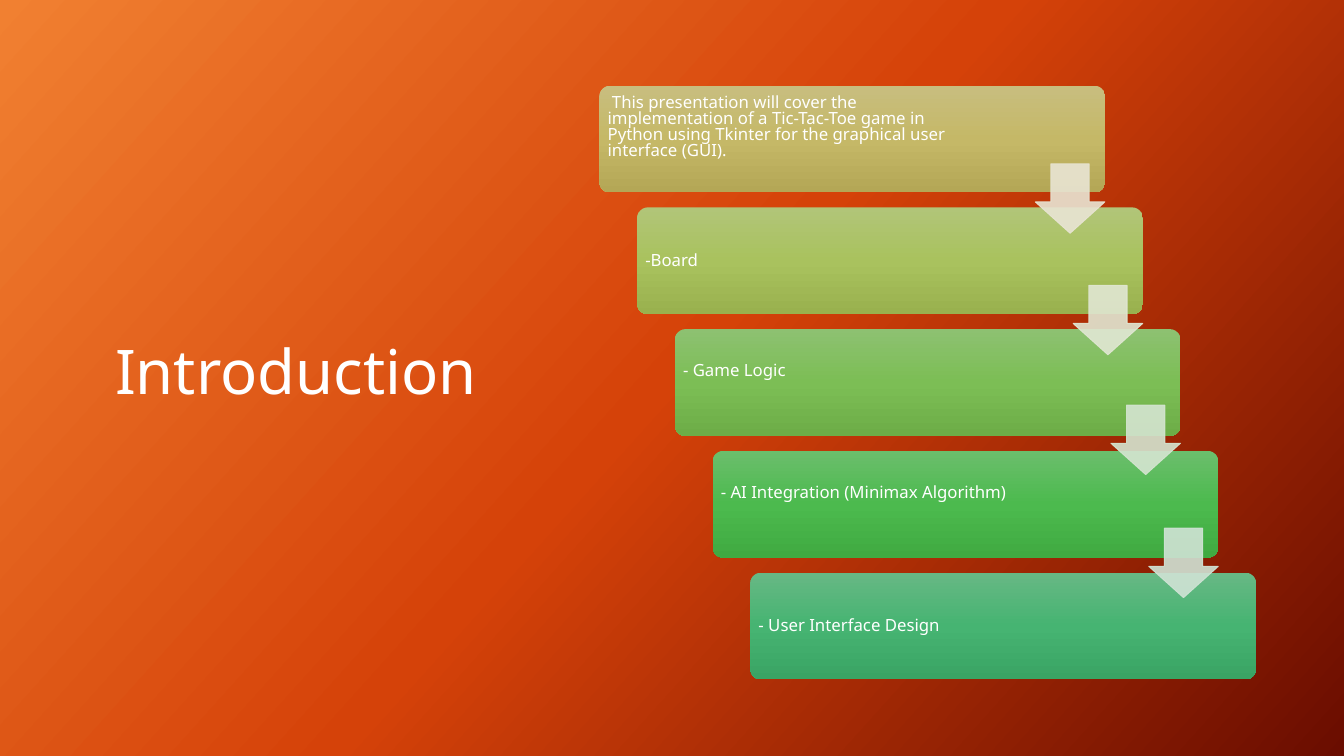
import copy
import pptx
import pptx.util
import pptx.dml.color
import pptx.enum.shapes
import pptx.enum.text
import pptx.oxml

Pt = pptx.util.Pt
RGB = pptx.dml.color.RGBColor.from_string
SHAPE = pptx.enum.shapes.MSO_SHAPE
ALIGN = pptx.enum.text.PP_ALIGN
MIDDLE = pptx.enum.text.MSO_ANCHOR.MIDDLE

theme = {
    "font": "Noto Sans",
    "text": "FFFFFF",
    "title": 44,
    "body": 12,
    "back": ["F18031", "D54209", "6A0D00"],
    "steps": [
        ["C8BE7F", "C5B867", "B4A756"],
        ["B1C578", "A9C25E", "99B14E"],
        ["8DC171", "7CBE55", "6DAD47"],
        ["6BBE6C", "4CBA4E", "40AA41"],
        ["67B884", "46B472", "3AA464"],
    ],
    "arrows": ["E9E5D4", "E1E7D3", "D5E5D1", "D0E3D5"],
}


def blend(owner, fill, tones, angle):
    fill.gradient()
    stops = owner.element.xpath(".//a:gsLst")[0]
    stops.append(copy.deepcopy(stops[0]))
    fill.gradient_angle = 360 - angle
    for stop, tone, place in zip(fill.gradient_stops, tones, [0, 0.5, 1]):
        stop.color.rgb = RGB(tone)
        stop.position = place


def write(text, box, size, align, space, inset):
    frame = slide.shapes.add_textbox(*[Pt(n) for n in box]).text_frame
    frame.word_wrap = True
    frame.vertical_anchor = MIDDLE
    frame.margin_left, frame.margin_top, frame.margin_right, frame.margin_bottom = [
        Pt(n) for n in inset
    ]
    frame.text = text
    line = frame.paragraphs[0]
    line.alignment = align
    line.line_spacing = space
    font = line.runs[0].font
    font.name = theme["font"]
    font.size = Pt(size)
    font.color.rgb = RGB(theme["text"])


deck = pptx.Presentation()
deck.slide_width = Pt(960)
deck.slide_height = Pt(540)
slide = deck.slides.add_slide(deck.slide_layouts[6])
blend(slide, slide.background.fill, theme["back"], 42)

write("Introduction", (53.3, 162.7, 294.5, 209.5), theme["title"],
      ALIGN.RIGHT, 0.9, (7.2, 3.6, 7.2, 3.6))

steps = [
    (" This presentation will cover the implementation of a Tic-Tac-Toe game in "
     "Python using Tkinter for the graphical user interface (GUI).", 270, 0.8, 20),
    ("-Board", 280, 0.9, 3.6),
    ("- Game Logic", 280, 0.9, 20),
    ("- AI Integration (Minimax Algorithm)", 280, 0.9, 20),
    ("- User Interface Design", 280, 0.9, 3.6),
]
for i, (text, width, space, foot) in enumerate(steps):
    left, top = 428.2 + 26.95 * i, 61.2 + 86.95 * i
    card = slide.shapes.add_shape(
        SHAPE.ROUNDED_RECTANGLE, Pt(left), Pt(top), Pt(361.2), Pt(76.3))
    card.adjustments[0] = 0.1
    card.shadow.inherit = False
    card.line.fill.background()
    blend(card, card.fill, theme["steps"][i], 90)
    write(text, (left + 2.2, top + 2.2, width, 72), theme["body"],
          ALIGN.LEFT, space, (3.6, 3.6, 3.6, foot))

tops = [117, 203.8, 289.4, 377.3]
for i, (top, tone) in enumerate(zip(tops, theme["arrows"])):
    arrow = slide.shapes.add_shape(
        SHAPE.DOWN_ARROW, Pt(739.6 + 27 * i), Pt(top), Pt(49.6), Pt(49.6))
    arrow.adjustments[0] = 0.55
    arrow.adjustments[1] = 0.45
    arrow.shadow.inherit = False
    arrow.fill.solid()
    arrow.fill.fore_color.rgb = RGB(tone)
    arrow.line.color.rgb = RGB(tone)
    arrow.line.width = Pt(0.75)
    for color in arrow.element.xpath(".//a:srgbClr"):
        color.append(pptx.oxml.parse_xml(
            '<a:alpha xmlns:a="http://schemas.openxmlformats.org/drawingml/2006/main"'
            ' val="90000"/>'))

deck.save("out.pptx")
